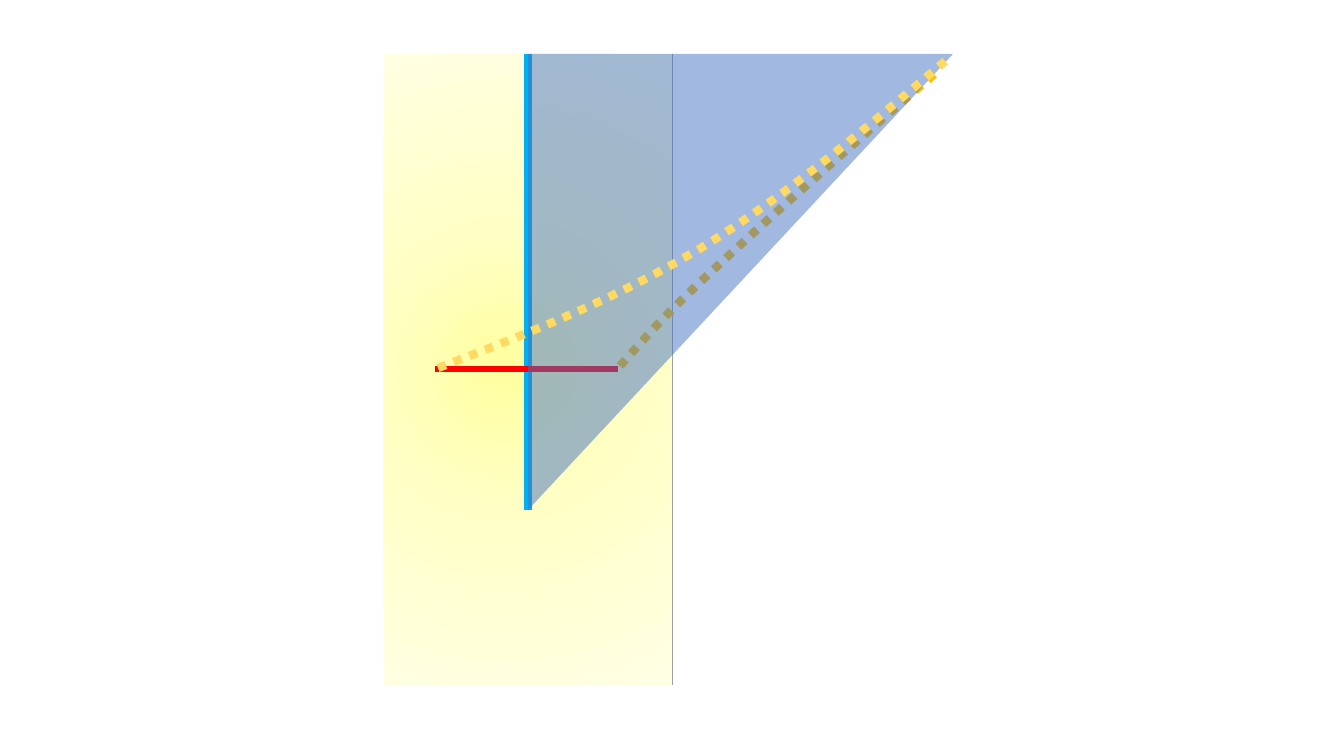
from lxml import etree
from pptx import Presentation
from pptx.dml.color import RGBColor
from pptx.enum.dml import MSO_LINE
from pptx.enum.shapes import MSO_CONNECTOR, MSO_SHAPE
from pptx.oxml import parse_xml
from pptx.oxml.ns import nsdecls, qn
from pptx.util import Pt

RECT, TRIANGLE = MSO_SHAPE.RECTANGLE, MSO_SHAPE.RIGHT_TRIANGLE
STRAIGHT, DOTTED = MSO_CONNECTOR.STRAIGHT, MSO_LINE.ROUND_DOT

SCALE = 914400 / 100.8  # EMU per px
STEPS = 24  # straight pieces per curve segment
THEME = {
    "glow": [(0, "FFFFA0"), (40, "FFFFC5"), (100, "FFFFE3")],
    "edge": "A0A0A0",
    "mirror": "00B0F0",
    "normal": "FF0000",
    "shade": "4472C4",
    "ray behind": "FFC000",
    "ray in front": "FFD961",
}


def px(n):
    return round(n * SCALE)


def add_line(x1, y1, x2, y2, color, width):
    line = slide.shapes.add_connector(STRAIGHT, px(x1), px(y1), px(x2), px(y2))
    line.line.color.rgb = RGBColor.from_string(THEME[color])
    line.line.width = Pt(width)
    etree.SubElement(line._element.spPr, qn("a:effectLst"))


prs = Presentation()
prs.slide_width, prs.slide_height = px(1344), px(756)
slide = prs.slides.add_slide(prs.slide_layouts[6])

# Glowing panel seen at an angle
panel = slide.shapes.add_shape(RECT, px(384), px(54), px(288), px(631))
panel.shadow.inherit = False
panel.line.fill.background()
panel.fill.background()
stops = "".join(
    f'<a:gs pos="{pos * 1000}"><a:srgbClr val="{color}"/></a:gs>'
    for pos, color in THEME["glow"])
glow = parse_xml(
    f'<a:gradFill {nsdecls("a")} rotWithShape="1"><a:gsLst>{stops}</a:gsLst>'
    '<a:path path="circle"><a:fillToRect l="42000" t="50000" r="58000" b="50000"/>'
    '</a:path></a:gradFill>')
spPr = panel._element.spPr
spPr.replace(spPr.find(qn("a:noFill")), glow)
add_line(672, 54, 672, 685, "edge", 0.5)

# Each ray: start point, then cubic segments of three points
rays = {
    "ray behind": [(620, 366), (644, 339), (669, 310), (723, 261),
                   (775, 212), (857, 141), (938, 71)],
    "ray in front": [(438, 368), (527, 334), (616, 299), (701, 248),
                     (786, 196), (868, 127), (950, 57)],
}
for name, nodes in rays.items():
    if name == "ray in front":
        add_line(528, 54, 528, 510, "mirror", 6)
        add_line(435, 369, 618, 369, "normal", 4.5)
        shade = slide.shapes.add_shape(TRIANGLE, px(528), px(54), px(425), px(456))
        shade.shadow.inherit = False
        shade.line.fill.background()
        shade.fill.solid()
        shade.fill.fore_color.rgb = RGBColor.from_string(THEME["shade"])
        color = shade._element.spPr.find(qn("a:solidFill"))[0]
        etree.SubElement(color, qn("a:alpha"), val="50000")
        shade._element.spPr.find(qn("a:xfrm")).set("flipV", "1")

    points = []
    for i in range(0, len(nodes) - 1, 3):
        for step in range(1, STEPS + 1):
            t = step / STEPS
            weights = ((1 - t) ** 3, 3 * t * (1 - t) ** 2, 3 * t ** 2 * (1 - t), t ** 3)
            points.append(tuple(
                px(sum(w * node[axis] for w, node in zip(weights, nodes[i:i + 4])))
                for axis in (0, 1)))
    builder = slide.shapes.build_freeform(px(nodes[0][0]), px(nodes[0][1]))
    builder.add_line_segments(points, close=False)
    ray = builder.convert_to_shape()
    ray.shadow.inherit = False
    ray.fill.background()
    ray.line.color.rgb = RGBColor.from_string(THEME[name])
    ray.line.width = Pt(6)
    ray.line.dash_style = DOTTED

prs.save("out.pptx")
